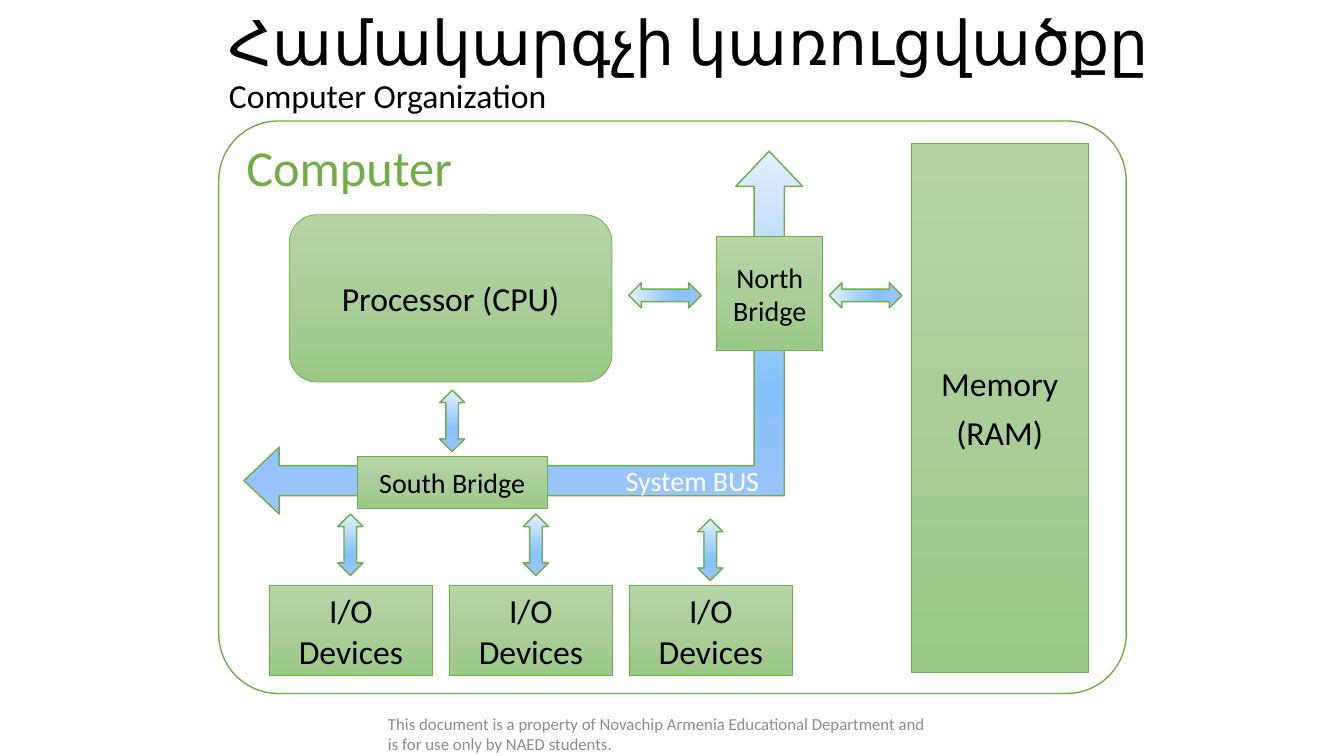
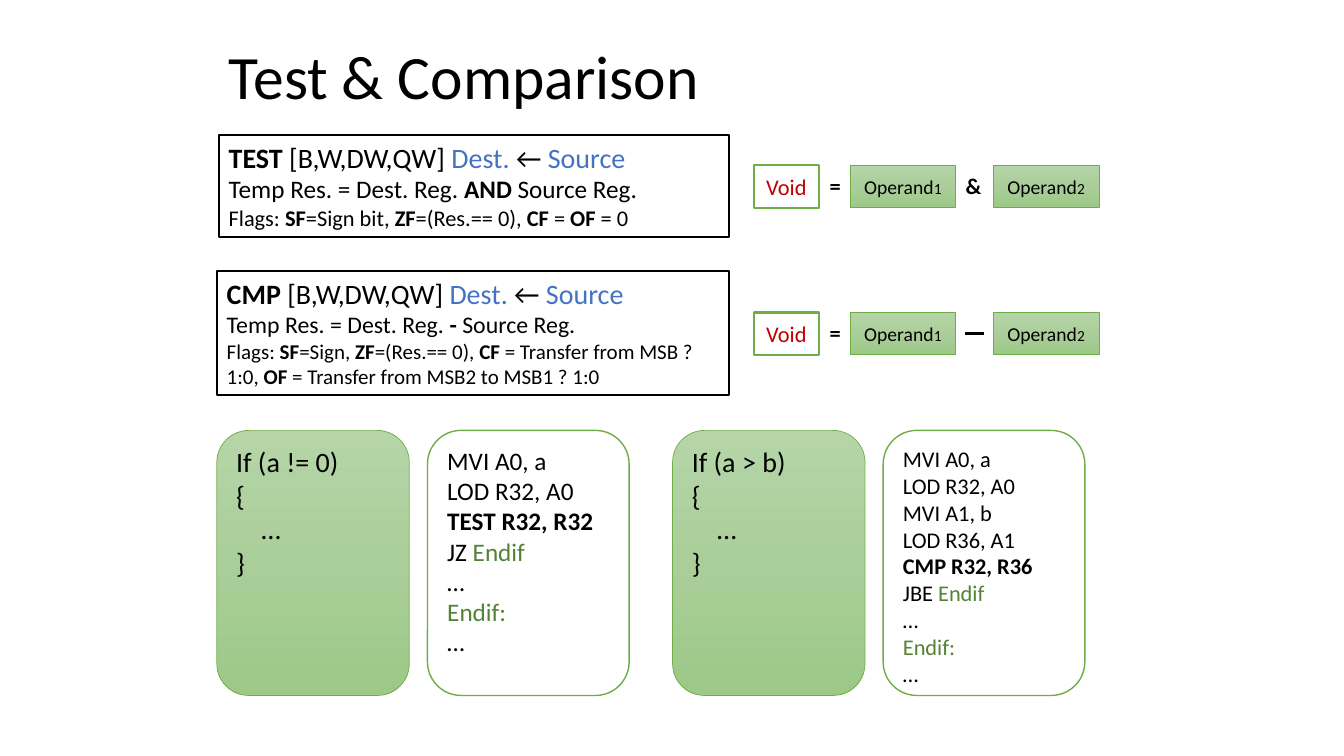
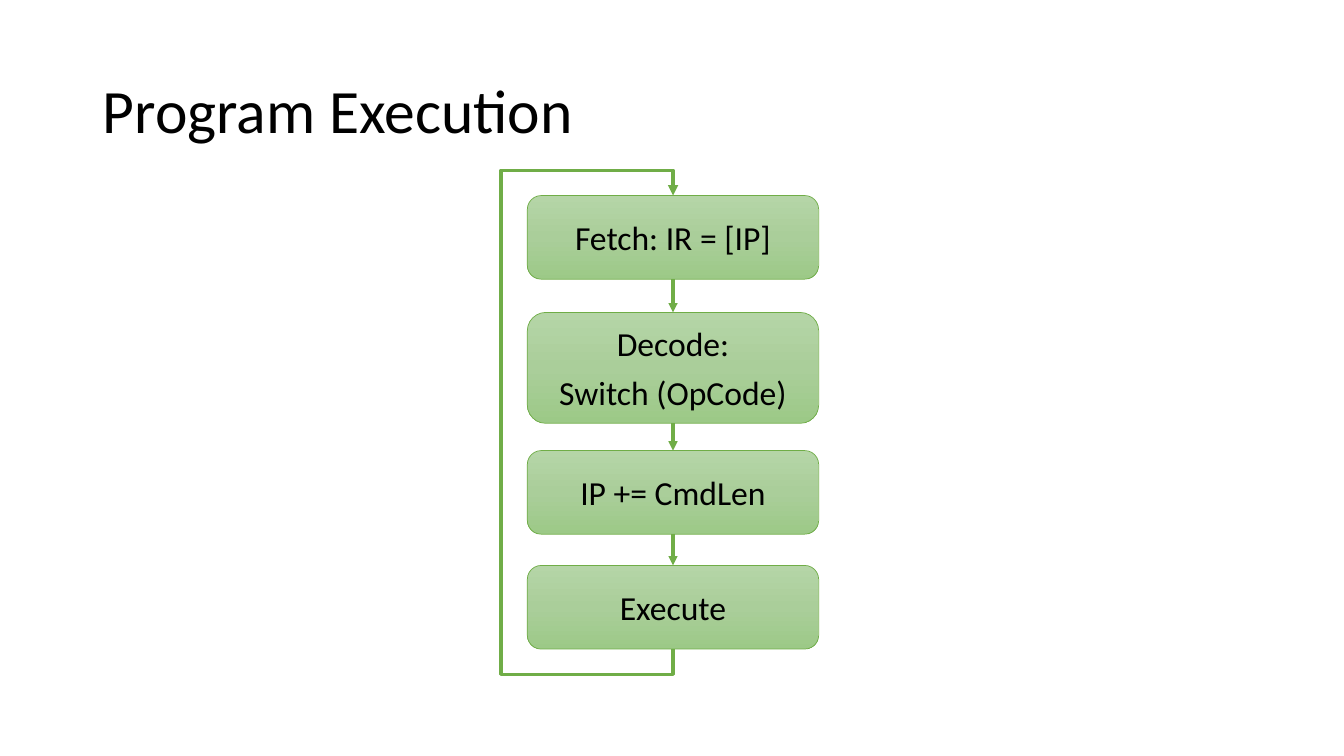
from lxml import etree
from pptx import Presentation
from pptx.dml.color import RGBColor
from pptx.enum import shapes, text
from pptx.oxml.ns import qn
from pptx.util import Inches, Pt

# ---- Shared look ----
FONT = "Calibri"
COLORS = {"black": "000000", "white": "FFFFFF", "green": "70AD47", "dark green": "548235",
          "blue": "4472C4", "red": "C00000", "gray": "8C8C8C"}
GRADIENTS = {  # stops, then the counter-clockwise angle
    "leaf": ([(0, "B5D5A7"), (50, "AACE9A"), (100, "9CC987")], 270),
    "sky": ([(0, "9CC5FA"), (35, "85C2FF"), (100, "E4EFFE")], 90),
}
RUN_STYLES = {"bold": {"bold": True}, "blue": {"color": "blue"}, "label": {"color": "dark green"},
              "index": {"size": 11}, "subtitle": {"size": 24}}
KIND = shapes.MSO_SHAPE
ALIGN = text.PP_ALIGN
ANCHOR = text.MSO_ANCHOR

# ---- Slide 1 content ----
ORGANIZATION_TITLE = ["Համակարգչի կառուցվածքը", "\n", ("Computer Organization", "subtitle")]
FOOTER = ("This document is a property of Novachip Armenia Educational Department and "
          "is for use only by NAED students.")
COMPUTER_BOX = (2.17, 1.2, 9, 5.68)
BUS_BOX = (2.42, 1.5, 5.54, 3.6)
BUS_ADJUSTMENTS = (0.083, 0.092, 0.097)
CPU_BOX = (2.87, 2.13, 3.2, 1.66)
UNITS = [  # lines, box, text size
    (["Memory", "(RAM)"], (9.04, 1.42, 1.75, 5.25), 24),
    (["North Bridge"], (7.11, 2.35, 1.05, 1.13), 20),
    (["South Bridge"], (3.54, 4.53, 1.89, 0.51), 20),
]
DEVICE_COUNT, DEVICE_LEFT, DEVICE_STEP = 3, 2.67, 1.785
LINKS = [  # box, rotation
    ((6.47, 2.57, 0.25, 0.72), 270), ((8.46, 2.57, 0.25, 0.72), 270),
    ((4.36, 3.87, 0.25, 0.61), 0), ((3.35, 5.1, 0.25, 0.61), 0),
    ((5.19, 5.1, 0.25, 0.61), 0), ((6.92, 5.15, 0.25, 0.61), 0),
]

# ---- Slide 2 content ----
OPERANDS = [" [B,W,DW,QW] ", ("Dest. ", "blue"), "← ", ("Source", "blue")]
COMMANDS = [  # box, paragraphs, text sizes
    ((2.17, 1.34, 5.06, 1.01), [
        [("TEST", "bold"), *OPERANDS],
        ["Temp Res. = Dest. Reg. ", ("AND", "bold"), " Source Reg."],
        ["Flags: ", ("SF", "bold"), "=Sign bit, ", ("ZF", "bold"), "=(Res.== 0), ",
         ("CF", "bold"), " = ", ("OF", "bold"), " = 0"],
    ], (20, 18, 16)),
    ((2.15, 2.69, 5.08, 1.23), [
        [("CMP", "bold"), *OPERANDS],
        ["Temp Res. = Dest. Reg. ", ("-", "bold"), " Source Reg."],
        ["Flags: ", ("SF", "bold"), "=Sign, ", ("ZF", "bold"), "=(Res.== 0), ", ("CF", "bold"),
         " = Transfer from MSB ? 1:0, ", ("OF", "bold"), " = Transfer from MSB2 to MSB1 ? 1:0"],
    ], (20, 17, 15)),
]
EQUATIONS = [(1.64, "&"), (3.1, "minus")]  # top, operator
ENDING = ["…", [("Endif:", "label")], "…"]
EXAMPLES = [  # left, condition, assembly, assembly text size
    (2.15, "If (a != 0)",
     ["MVI A0, a", "LOD R32, A0", [("TEST R32, R32", "bold")], ["JZ ", ("Endif", "label")],
      *ENDING], 18),
    (6.67, "If (a > b)",
     ["MVI A0, a", "LOD R32, A0", "MVI A1, b", "LOD R36, A1", [("CMP R32, R36", "bold")],
      ["JBE ", ("Endif", "label")], *ENDING], 16),
]

# ---- Slide 3 content ----
STEPS = [  # lines, top, height
    (["Fetch: IR = [IP]"], 1.94, 0.83),
    (["Decode:", "Switch (OpCode)"], 3.1, 1.1),
    (["IP += CmdLen"], 4.47, 0.83),
    (["Execute"], 5.61, 0.83),
]
STEP_LEFT, STEP_WIDTH = 5.23, 2.89
LOOP_LEFT, LOOP_GAP = 4.97, 0.25


# ---- Helpers ----
def rgb(name):
    return RGBColor.from_string(COLORS[name])


def write(shape, paragraphs, size, color="black", bold=False, anchor=ANCHOR.MIDDLE,
          wrap=True, fit=text.MSO_AUTO_SIZE.NONE, **paragraph_format):
    """Fill a shape; a paragraph is a string or a list of strings and (string, style)."""
    frame = shape.text_frame
    frame_format = {"word_wrap": wrap, "auto_size": fit, "vertical_anchor": anchor}
    for name, value in frame_format.items():
        setattr(frame, name, value)
    sizes = size if isinstance(size, tuple) else (size,) * len(paragraphs)
    for index, (runs, points) in enumerate(zip(paragraphs, sizes)):
        paragraph = frame.add_paragraph() if index else frame.paragraphs[0]
        for name, value in {"alignment": ALIGN.LEFT, **paragraph_format}.items():
            setattr(paragraph, name, value)
        for part in [runs] if isinstance(runs, str) else runs:
            if part == "\n":
                paragraph.add_line_break()
                continue
            words, style = (part, None) if isinstance(part, str) else part
            look = {"size": points, "color": color, "bold": bold, **RUN_STYLES.get(style, {})}
            run = paragraph.add_run()
            run.text = words
            font_format = {"name": FONT, "size": Pt(look["size"]), "bold": look["bold"]}
            for name, value in font_format.items():
                setattr(run.font, name, value)
            run.font.color.rgb = rgb(look["color"])


def place(shape, box):
    for name, value in zip(("left", "top", "width", "height"), box):
        setattr(shape, name, Inches(value))


def paint(shape, fill, line="green", line_width=1.0):
    shape.shadow.inherit = False
    shape.line.color.rgb = rgb(line)
    shape.line.width = Pt(line_width)
    if fill is None:
        shape.fill.background()
    elif fill in GRADIENTS:
        stops, angle = GRADIENTS[fill]
        shape.fill.gradient()
        shape.fill.gradient_angle = angle
        stop_list = shape._element.spPr.find(qn("a:gradFill")).find(qn("a:gsLst"))
        for stop in list(stop_list):
            stop_list.remove(stop)
        for position, value in stops:
            stop = etree.SubElement(stop_list, qn("a:gs"), pos=str(position * 1000))
            etree.SubElement(stop, qn("a:srgbClr"), val=value)
    else:
        shape.fill.solid()
        shape.fill.fore_color.rgb = rgb(fill)


def draw(canvas, kind, box, fill="leaf", line="green", line_width=0.5, adjustments=()):
    shape = canvas.add_shape(kind, *map(Inches, box))
    for index, value in enumerate(adjustments):
        shape.adjustments[index] = value
    paint(shape, fill, line, line_width)
    return shape


def block(canvas, lines, box, size, color="black", rounded=False, **look):
    shape = draw(canvas, KIND.ROUNDED_RECTANGLE, box,
                 adjustments=() if rounded else (0,), **look)
    write(shape, lines, size, color, alignment=ALIGN.CENTER, space_before=Pt(6))
    return shape


def textbox(canvas, words, box, size, **look):
    shape = canvas.add_textbox(*map(Inches, box))
    write(shape, [words], size, **look)


def connect(canvas, start, end, color, width):
    line = canvas.add_connector(shapes.MSO_CONNECTOR.STRAIGHT, *map(Inches, start + end))
    line.line.color.rgb = rgb(color)
    line.line.width = Pt(width)
    etree.SubElement(line._element.spPr, qn("a:effectLst"))
    return line


def add_arrowhead(shape):
    outline = shape._element.spPr.find(qn("a:ln"))
    etree.SubElement(outline, qn("a:tailEnd"), type="triangle")


def new_slide(layout, title, box):
    slide = presentation.slides.add_slide(presentation.slide_layouts[layout])
    place(slide.shapes.title, box)
    write(slide.shapes.title, [title], 44, line_spacing=0.9)
    return slide


presentation = Presentation()
presentation.slide_width = Inches(13.33)
presentation.slide_height = Inches(7.5)

# ---- Slide 1: computer organization ----
slide = new_slide(1, ORGANIZATION_TITLE, (2.17, 0.07, 9.5, 1.13))
canvas = slide.shapes

# Rounded frame in the body placeholder
computer = slide.placeholders[1]
place(computer, COMPUTER_BOX)
geometry = etree.SubElement(computer._element.spPr, qn("a:prstGeom"), prst="roundRect")
guides = etree.SubElement(geometry, qn("a:avLst"))
etree.SubElement(guides, qn("a:gd"), name="adj", fmla="val 10400")
paint(computer, "white")
write(computer, ["Computer"], 36, "green", anchor=ANCHOR.TOP,
      line_spacing=0.9, space_before=Pt(6))
properties = computer.text_frame.paragraphs[0]._p.get_or_add_pPr()
properties.set("marL", "0")
properties.set("indent", "0")
etree.SubElement(properties, qn("a:buNone"))

textbox(canvas, FOOTER, (3.75, 7.08, 5.54, 0.4), 12, color="gray")

# Bus, units and devices
bus = draw(canvas, KIND.LEFT_UP_ARROW, BUS_BOX, "sky", line_width=1, adjustments=BUS_ADJUSTMENTS)
write(bus, ["System BUS"], 20, "white", alignment=ALIGN.RIGHT)
block(canvas, ["Processor (CPU)"], CPU_BOX, 24, rounded=True)
for lines, box, size in UNITS:
    block(canvas, lines, box, size)
for index in range(DEVICE_COUNT):
    block(canvas, ["I/O Devices"], (DEVICE_LEFT + index * DEVICE_STEP, 5.81, 1.62, 0.89), 24)
for box, rotation in LINKS:
    link = draw(canvas, KIND.UP_DOWN_ARROW, box, "sky", line_width=1)
    link.rotation = rotation

# ---- Slide 2: test and comparison ----
slide = new_slide(5, "Test & Comparison", (2.17, 0.07, 9.5, 1.43))
canvas = slide.shapes

for box, paragraphs, sizes in COMMANDS:
    command = draw(canvas, KIND.RECTANGLE, box, None, "black", 1.5)
    write(command, paragraphs, sizes, anchor=ANCHOR.TOP,
          fit=text.MSO_AUTO_SIZE.SHAPE_TO_FIT_TEXT)

# Result = operand, operator, operand
sign_look = {"bold": True, "wrap": False, "anchor": ANCHOR.TOP,
             "fit": text.MSO_AUTO_SIZE.SHAPE_TO_FIT_TEXT}
for top, operator in EQUATIONS:
    equation = canvas.add_group_shape().shapes
    block(equation, ["Void"], (7.48, top, 0.64, 0.42), 16, "red", fill="white", line_width=1.5)
    textbox(equation, "=", (8.13, top + 0.02, 0.31, 0.37), 16, **sign_look)
    for number, left in (("1", 8.43), ("2", 9.85)):
        block(equation, [["Operand", (number, "index")]], (left, top, 1.05, 0.42), 14)
    if operator == "minus":
        connect(equation, (9.57, top + 0.21), (9.76, top + 0.21), "black", 2.5)
    else:
        textbox(equation, operator, (9.48, top + 0.02, 0.36, 0.37), 16, **sign_look)

# Source code beside its assembly
for left, condition, assembly, size in EXAMPLES:
    source = draw(canvas, KIND.FLOWCHART_ALTERNATE_PROCESS, (left, 4.27, 1.91, 2.63))
    write(source, [condition, "{", "…", "}"], 20, anchor=ANCHOR.TOP)
    source.text_frame.paragraphs[2]._p.get_or_add_pPr().set("marL", str(Inches(0.25)))
    listing = draw(canvas, KIND.FLOWCHART_ALTERNATE_PROCESS, (left + 2.09, 4.27, 2, 2.63),
                   None, line_width=1)
    write(listing, assembly, size, anchor=ANCHOR.TOP)

# ---- Slide 3: program execution ----
slide = new_slide(5, "Program Execution", (0.92, 0.4, 11.5, 1.45))
cycle = slide.shapes.add_group_shape().shapes
middle = STEP_LEFT + STEP_WIDTH / 2

steps = [block(cycle, lines, (STEP_LEFT, top, STEP_WIDTH, height), 24, rounded=True)
         for lines, top, height in STEPS]
for upper, lower in zip(steps, steps[1:]):
    arrow = connect(cycle, (middle, 2), (middle, 3), "green", 2.25)
    arrow.begin_connect(upper, 2)
    arrow.end_connect(lower, 0)
    add_arrowhead(arrow)

# Return path from the last step to the first
first_top = STEPS[0][1]
last_bottom = STEPS[-1][1] + STEPS[-1][2]
corners = [(middle, last_bottom + LOOP_GAP), (LOOP_LEFT, last_bottom + LOOP_GAP),
           (LOOP_LEFT, first_top - LOOP_GAP), (middle, first_top - LOOP_GAP),
           (middle, first_top)]
outline = cycle.build_freeform(Inches(middle), Inches(last_bottom))
outline.add_line_segments([(Inches(x), Inches(y)) for x, y in corners], close=False)
loop = outline.convert_to_shape()
paint(loop, None, line_width=2.5)
add_arrowhead(loop)

presentation.save("out.pptx")
